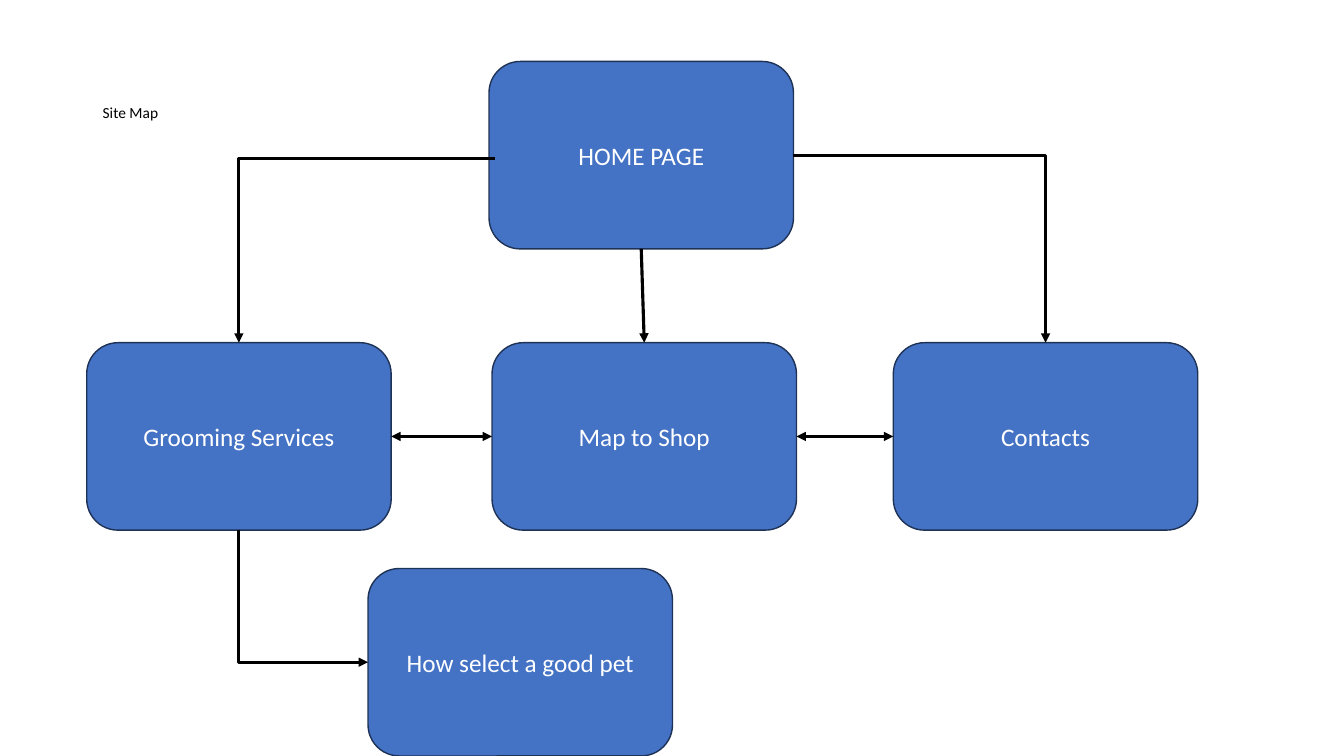
from dataclasses import dataclass

from lxml import etree
from pptx import Presentation
from pptx import util as u
from pptx.dml.color import RGBColor
from pptx.enum import shapes, text
from pptx.oxml import ns

BLUE = RGBColor(0x44, 0x72, 0xC4)
NAVY = RGBColor(0x1E, 0x32, 0x56)
WHITE = RGBColor(0xFF, 0xFF, 0xFF)
BLACK = RGBColor(0, 0, 0)
FONT = "Calibri"
WIDTH, HEIGHT = 3.02, 1.86
ROW = 3.4
TOP, LEFT, BOTTOM, RIGHT = range(4)


@dataclass
class Page:
    label: str
    left: float
    top: float


@dataclass
class Link:
    start: str
    out: int
    end: str
    into: int
    bent: bool = False
    heads: tuple[str, ...] = ("tailEnd",)


PAGES = {
    "pet": Page("How select a good pet", 3.65, 5.64),
    "home": Page("HOME PAGE", 4.85, 0.61),
    "map": Page("Map to Shop", 4.88, ROW),
    "contacts": Page("Contacts", 8.86, ROW),
    "grooming": Page("Grooming Services", 0.86, ROW),
}
BOTH = ("headEnd", "tailEnd")
# A bent link leaves sideways and arrives vertically
LINKS = [
    Link("home", BOTTOM, "map", TOP),
    Link("grooming", RIGHT, "map", LEFT, heads=BOTH),
    Link("map", RIGHT, "contacts", LEFT, heads=BOTH),
    Link("pet", LEFT, "grooming", BOTTOM, bent=True, heads=("headEnd",)),
    Link("home", LEFT, "grooming", TOP, bent=True),
    Link("home", RIGHT, "contacts", TOP, bent=True),
]


def style(frame, size: float, color: RGBColor) -> None:
    frame.word_wrap = True
    frame.vertical_anchor = text.MSO_ANCHOR.MIDDLE
    font = frame.paragraphs[0].runs[0].font
    font.name, font.size = FONT, u.Pt(size)
    font.color.rgb = color


def add_title(slide) -> None:
    box = slide.shapes.add_textbox(
        u.Inches(0.92), u.Inches(0.4), u.Inches(11.5), u.Inches(1.45))
    box.text_frame.text = "Site Map"
    box.text_frame.paragraphs[0].line_spacing = 0.9
    style(box.text_frame, 11, BLACK)


def add_page(slide, page: Page):
    box = slide.shapes.add_shape(
        shapes.MSO_SHAPE.ROUNDED_RECTANGLE, u.Inches(page.left),
        u.Inches(page.top), u.Inches(WIDTH), u.Inches(HEIGHT))
    box.shadow.inherit = False
    box.fill.solid()
    box.fill.fore_color.rgb = BLUE
    box.line.color.rgb = NAVY
    box.line.width = u.Pt(1)
    box.text_frame.text = page.label
    box.text_frame.paragraphs[0].alignment = text.PP_ALIGN.CENTER
    style(box.text_frame, 18, WHITE)
    return box


def anchor(page: Page, side: int) -> tuple[int, int]:
    across = {LEFT: 0, RIGHT: WIDTH}.get(side, WIDTH / 2)
    down = {TOP: 0, BOTTOM: HEIGHT}.get(side, HEIGHT / 2)
    return u.Inches(page.left + across), u.Inches(page.top + down)


def add_link(slide, link: Link, boxes: dict) -> None:
    kind = shapes.MSO_CONNECTOR.ELBOW if link.bent else shapes.MSO_CONNECTOR.STRAIGHT
    start = anchor(PAGES[link.start], link.out)
    end = anchor(PAGES[link.end], link.into)
    # The left branch of the home page starts slightly inside its box
    inside = link.start == "home" and link.out == LEFT
    if inside:
        start = u.Inches(4.91), u.Inches(1.57)
    line = slide.shapes.add_connector(kind, *start, *end)
    if not inside:
        line.begin_connect(boxes[link.start], link.out)
    line.end_connect(boxes[link.end], link.into)
    line.line.color.rgb = BLACK
    line.line.width = u.Pt(2.25)
    props = line._element.spPr
    if link.bent:
        props.find(ns.qn("a:prstGeom")).set("prst", "bentConnector2")
    for head in link.heads:
        etree.SubElement(props.find(ns.qn("a:ln")), ns.qn(f"a:{head}"), type="triangle")
    etree.SubElement(props, ns.qn("a:effectLst"))


def main() -> None:
    deck = Presentation()
    deck.slide_width, deck.slide_height = u.Inches(13.33), u.Inches(7.5)
    slide = deck.slides.add_slide(deck.slide_layouts[6])
    add_title(slide)
    boxes = {name: add_page(slide, page) for name, page in PAGES.items()}
    for link in LINKS:
        add_link(slide, link, boxes)
    deck.save("out.pptx")


if __name__ == "__main__":
    main()
